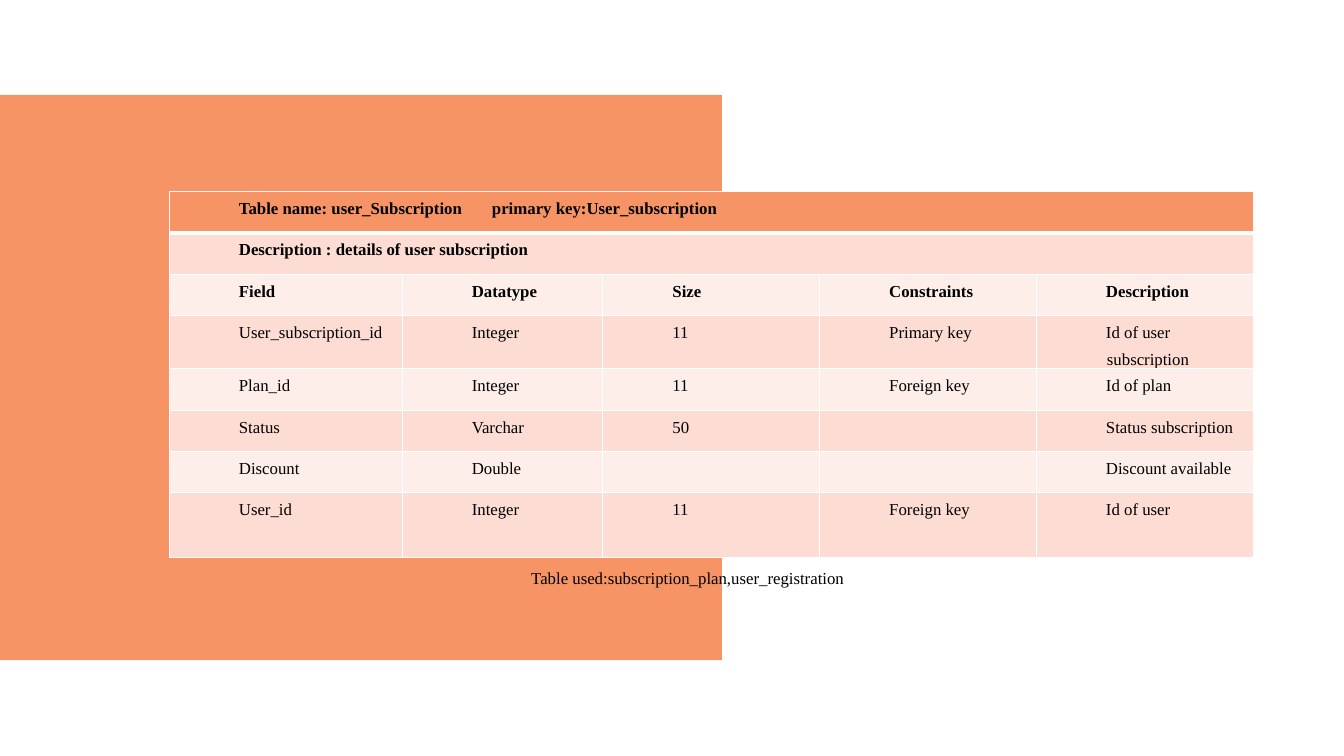
import pptx
import pptx.dml.color
import pptx.enum.shapes
import pptx.enum.text
import pptx.oxml
import pptx.oxml.ns
import pptx.util

ORANGE, ROSE, BLUSH = "F79465", "FCDCD3", "FDEEEA"
WHITE, BLACK = "FFFFFF", "000000"

COLUMN_WIDTHS = [23.1, 19.9, 21.5, 21.5, 21.5]
ROW_HEIGHTS = [4.1] * 7 + [6.4]
HEADINGS = 3
FIELDS = [
    ["Table name: user_Subscription\tprimary key:User_subscription"],
    ["Description : details of user subscription"],
    ["Field", "Datatype", "Size", "Constraints", "Description"],
    ["User_subscription_id", "Integer", "11", "Primary key", "Id of user subscription"],
    ["Plan_id", "Integer", "11", "Foreign key", "Id of plan"],
    ["Status", "Varchar", "50", "", "Status subscription"],
    ["Discount", "Double", "", "", "Discount available"],
    ["User_id", "Integer", "11", "Foreign key", "Id of user"],
]


def color(value):
    return pptx.dml.color.RGBColor.from_string(value)


def element(tag, **attributes):
    item = pptx.oxml.parse_xml(f"<a:{tag} {pptx.oxml.ns.nsdecls('a')}/>")
    for name, value in attributes.items():
        item.set(name, str(value))
    return item


class Slide:
    """Style and page; lengths are columns and rows of a tenth of an inch."""

    font, size = "Times New Roman", 12

    def __init__(self, deck):
        self.page = deck.slides.add_slide(deck.slide_layouts[6])

    def units(self, *lengths):
        return [pptx.util.Inches(length / 10) for length in lengths]

    def style(self, para, bold=False):
        for span in para.runs:
            span.font.name = self.font
            span.font.size = pptx.util.Pt(self.size)
            span.font.bold = bold
            span.font.color.rgb = color(BLACK)

    def panel(self, left, top, width, height, fill):
        shape = self.page.shapes.add_shape(
            pptx.enum.shapes.MSO_SHAPE.RECTANGLE, *self.units(left, top, width, height))
        shape.shadow.inherit = False
        shape.fill.solid()
        shape.fill.fore_color.rgb = color(fill)
        shape.line.fill.background()

    def caption(self, left, top, width, height, text):
        box = self.page.shapes.add_textbox(*self.units(left, top, width, height))
        box.text_frame.word_wrap = False
        box.text_frame.auto_size = pptx.enum.text.MSO_AUTO_SIZE.SHAPE_TO_FIT_TEXT
        box.text_frame.text = text
        self.style(box.text_frame.paragraphs[0])

    def border(self, cell, side, points):
        line = element("ln" + side, w=pptx.util.Pt(points))
        fill = element("solidFill")
        fill.append(element("srgbClr", val=WHITE))
        line.append(fill)
        cell._tc.get_or_add_tcPr().append(line)

    def cell(self, cell, text, fill, bold, bottom):
        # Borders come before the fill
        for side, points in zip("LRTB", (1, 1, 1, bottom)):
            self.border(cell, side, points)
        cell.fill.solid()
        cell.fill.fore_color.rgb = color(fill)
        cell.margin_left = cell.margin_right = pptx.util.Inches(0.07)
        cell.margin_top = cell.margin_bottom = 0

        # Indented text, with a tab stop where a line has two parts
        cell.text_frame.text = text
        para = cell.text_frame.paragraphs[0]
        para.line_spacing = 1.43
        properties = para._p.get_or_add_pPr()
        properties.set("marL", str(pptx.util.Inches(0.63)))
        properties.set("indent", str(pptx.util.Inches(-0.01)))
        if "\t" in text:
            stops = element("tabLst")
            stops.append(element("tab", pos=pptx.util.Inches(4.12), algn="l"))
            properties.append(stops)
        para.font.size = pptx.util.Pt(self.size)
        self.style(para, bold)

    def table(self, left, top, widths, heights, rows):
        frame = self.page.shapes.add_table(
            len(heights), len(widths),
            *self.units(left, top, sum(widths), sum(heights)))
        grid = frame.table
        for column, width in zip(grid.columns, self.units(*widths)):
            column.width = width
        for row, height in zip(grid.rows, self.units(*heights)):
            row.height = height
        for number, texts in enumerate(rows):
            fill = ORANGE if number == 0 else (BLUSH, ROSE)[number % 2]
            if len(texts) == 1:
                grid.cell(number, 0).merge(grid.cell(number, len(widths) - 1))
            for place in range(len(widths)):
                text = texts[place] if place < len(texts) else ""
                self.cell(grid.cell(number, place), text, fill,
                          number < HEADINGS, 3 if number == 0 else 1)


def main():
    deck = pptx.Presentation()
    deck.slide_width = pptx.util.Inches(13.33)
    deck.slide_height = pptx.util.Inches(7.5)
    slide = Slide(deck)

    # Backdrop
    slide.panel(0, 9.4, 71.6, 56.1, ORANGE)

    # Data dictionary and its caption
    slide.table(16.8, 19, COLUMN_WIDTHS, ROW_HEIGHTS, FIELDS)
    slide.caption(51.7, 55.8, 33.5, 3,
                  "Table used:subscription_plan,user_registration")

    deck.save("out.pptx")


if __name__ == "__main__":
    main()
